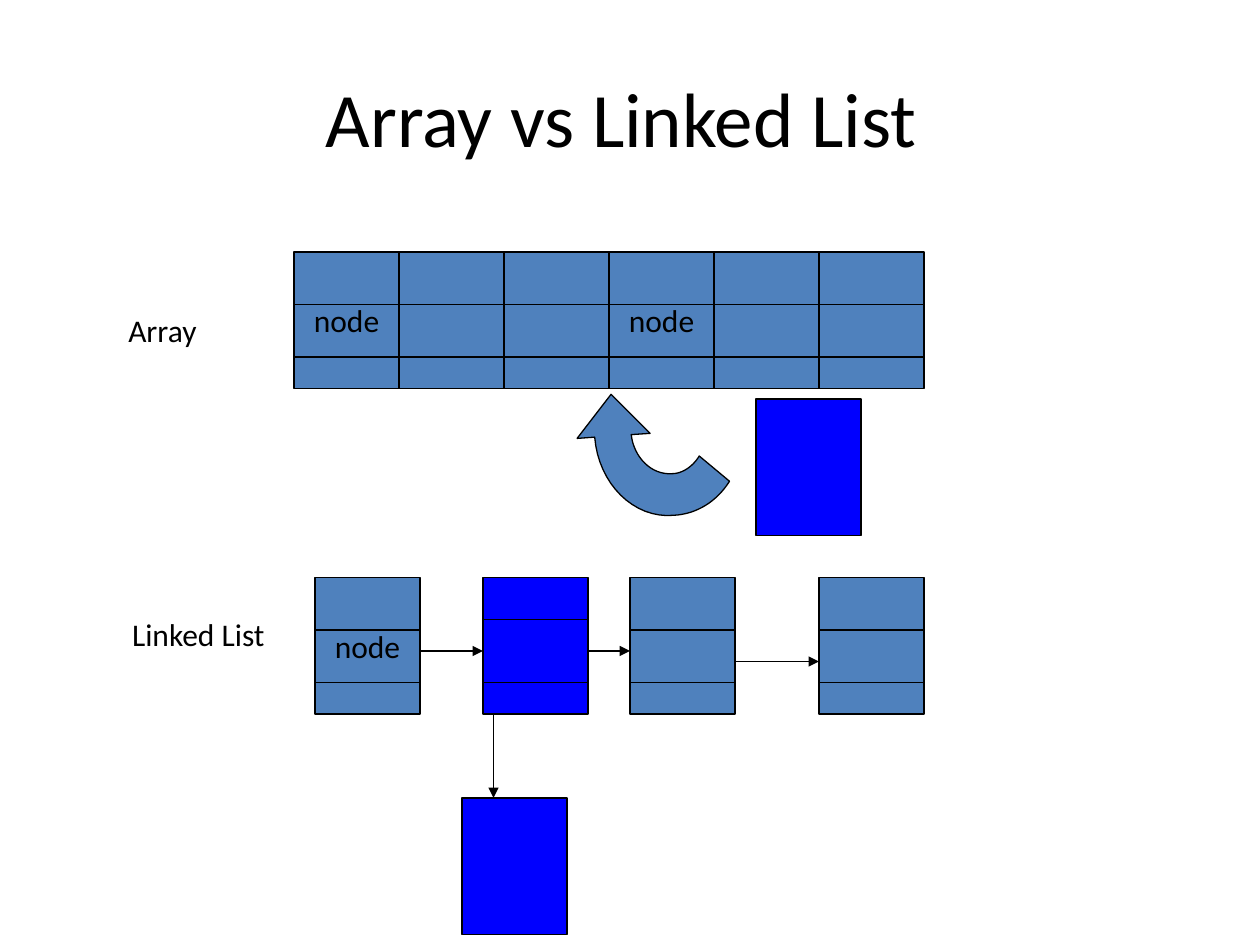
from lxml.etree import SubElement
from pptx import Presentation
from pptx.dml.color import RGBColor
from pptx.enum.shapes import MSO_CONNECTOR, MSO_SHAPE
from pptx.enum.text import MSO_ANCHOR, PP_ALIGN
from pptx.oxml.ns import qn
from pptx.util import Inches, Pt

BLACK = RGBColor(0x00, 0x00, 0x00)
STEEL = RGBColor(0x4F, 0x81, 0xBD)
BLUE = RGBColor(0x00, 0x00, 0xFF)
FONT = "Calibri"
NODE_WIDTH = 5 / 6
NODE_HEIGHT = 13 / 12
DIVIDERS = (5 / 12, 10 / 12)
INSERTED_DIVIDERS = (1 / 3, 5 / 6)


def write_text(shape, text, size=18, align=PP_ALIGN.LEFT, anchor=MSO_ANCHOR.TOP, wrap=False):
    """Put one formatted paragraph in a shape."""
    frame = shape.text_frame
    frame.word_wrap = wrap
    frame.vertical_anchor = anchor
    paragraph = frame.paragraphs[0]
    paragraph.alignment = align
    run = paragraph.add_run()
    run.text = text
    run.font.name = FONT
    run.font.size = Pt(size)
    run.font.color.rgb = BLACK


def paint(shape, color):
    """Give a shape a flat fill and a thin black outline."""
    shape.shadow.inherit = False
    shape.fill.solid()
    shape.fill.fore_color.rgb = color
    shape.line.color.rgb = BLACK
    shape.line.width = Pt(0.75)


def add_line(shapes, start, end, arrowheads=()):
    """Draw a thin black line with arrowheads at the named ends."""
    points = [Inches(value) for value in (*start, *end)]
    line = shapes.add_connector(MSO_CONNECTOR.STRAIGHT, *points)
    line.line.color.rgb = BLACK
    line.line.width = Pt(0.75)
    outline = line.line._get_or_add_ln()
    for arrowhead in arrowheads:
        SubElement(outline, qn(f"a:{arrowhead}"), type="triangle")
    SubElement(line._element.spPr, qn("a:effectLst"))


def add_block(shapes, left, top, color):
    """Draw one plain node rectangle."""
    block = shapes.add_shape(MSO_SHAPE.RECTANGLE, Inches(left), Inches(top),
                             Inches(NODE_WIDTH), Inches(NODE_HEIGHT))
    paint(block, color)
    return block


def add_node(slide, left, top, text="", color=STEEL, dividers=DIVIDERS):
    """Group a node rectangle with its dividing lines."""
    shapes = slide.shapes.add_group_shape().shapes
    block = add_block(shapes, left, top, color)
    if text:
        write_text(block, text, align=PP_ALIGN.CENTER, anchor=MSO_ANCHOR.MIDDLE)
    for offset in dividers:
        add_line(shapes, (left, top + offset), (left + NODE_WIDTH, top + offset))


def add_label(slide, text, left, top, width, height):
    """Place a row label."""
    label = slide.shapes.add_textbox(Inches(left), Inches(top), Inches(width), Inches(height))
    write_text(label, text)


def add_title(slide, text, left, top, width, height):
    """Move and fill the title placeholder."""
    title = slide.shapes.title
    title.left, title.top = Inches(left), Inches(top)
    title.width, title.height = Inches(width), Inches(height)
    write_text(title, text, size=44, align=PP_ALIGN.CENTER, anchor=MSO_ANCHOR.MIDDLE, wrap=True)


def add_linked_list(slide, left, top):
    """Draw the chained nodes, their links and the detached node."""
    shapes = slide.shapes
    inserted = left + 4 / 3
    third = left + 2.5
    last = left + 4
    detached_top = top + 1.75
    upper_link = top + 7 / 12
    lower_link = top + 2 / 3
    branch = left + 17 / 12

    add_block(shapes, left + 7 / 6, detached_top, BLUE)
    add_line(shapes, (branch, detached_top), (branch, lower_link), ("headEnd", "tailEnd"))
    for start, end, link in ((inserted + 1 / 3, third, upper_link),
                             (third + NODE_WIDTH, last, lower_link),
                             (left + NODE_WIDTH, inserted, upper_link)):
        add_line(shapes, (start, link), (end, link), ("tailEnd",))

    add_node(slide, inserted, top, color=BLUE, dividers=INSERTED_DIVIDERS)
    add_node(slide, left, top, "node")
    for node_left in (third, last):
        add_node(slide, node_left, top)


def add_array(slide, left, top):
    """Draw the six adjoining array nodes."""
    for index, text in enumerate(("node", "", "", "node", "", "")):
        add_node(slide, left + index * NODE_WIDTH, top, text)


def curve_points(*controls, steps=16):
    """Sample a cubic curve after its first point."""
    weights = (1, 3, 3, 1)
    return [tuple(sum(weight * (1 - step / steps) ** (3 - power) * (step / steps) ** power
                      * control[axis]
                      for power, (weight, control) in enumerate(zip(weights, controls)))
                  for axis in (0, 1))
            for step in range(1, steps + 1)]


def add_insertion_arrow(slide, left, top):
    """Draw the curved arrow that points into the array."""
    start = (0.43, 0.32)
    outline = [
        start,
        *curve_points(start, (0.45, 0.5), (0.59, 0.64), (0.75, 0.63)),
        *curve_points((0.75, 0.63), (0.84, 0.63), (0.92, 0.57), (0.97, 0.49)),
        (1.21, 0.69),
        *curve_points((1.21, 0.69), (1.11, 0.85), (0.95, 0.95), (0.77, 0.96)),
        *curve_points((0.77, 0.96), (0.45, 0.99), (0.17, 0.71), (0.14, 0.34)),
        (0, 0.35), (0.27, 0), (0.58, 0.31),
    ]
    first, *others = [(Inches(across), Inches(down)) for across, down in outline]
    builder = slide.shapes.build_freeform(*first)
    builder.add_line_segments(others, close=True)
    paint(builder.convert_to_shape(Inches(left), Inches(top)), STEEL)


def main():
    """Build and save the slide."""
    deck = Presentation()
    deck.slide_width, deck.slide_height = Inches(10), Inches(7.5)
    slide = deck.slides.add_slide(deck.slide_layouts[5])
    add_title(slide, "Array vs Linked List ", 0.5, 0.3, 9, 1.25)
    add_linked_list(slide, 2.5, 55 / 12)
    add_array(slide, 7 / 3, 2)
    add_label(slide, "Array", 0.92, 2.42, 0.8, 0.4)
    add_label(slide, "Linked List", 0.95, 4.83, 1.4, 0.4)
    add_block(slide.shapes, 6, 19 / 6, BLUE)
    add_insertion_arrow(slide, 4.58, 3.13)
    deck.save("out.pptx")


if __name__ == "__main__":
    main()
